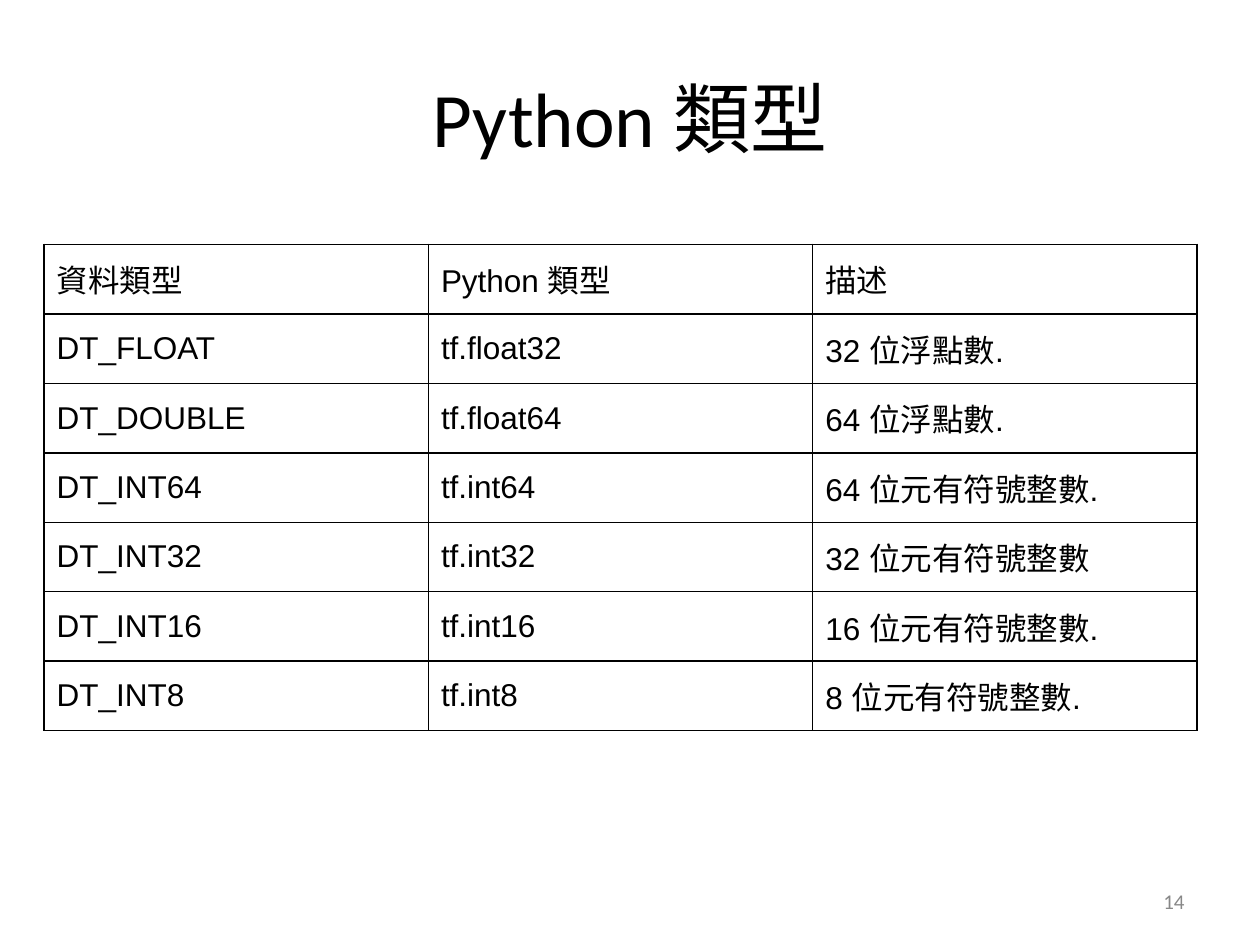
"""Build a slide with a table of data types and their Python types."""
from lxml import etree
from pptx import Presentation
from pptx.dml.color import RGBColor
from pptx.enum import text
from pptx.oxml import ns
from pptx.util import Pt

TITLE = "Python 類型"
PAGE_NUMBER = "14"
ROWS = [
    ("資料類型", "Python 類型", "描述"),
    ("DT_FLOAT", "tf.float32", "32 位浮點數."),
    ("DT_DOUBLE", "tf.float64", "64 位浮點數."),
    ("DT_INT64", "tf.int64", "64 位元有符號整數."),
    ("DT_INT32", "tf.int32", "32 位元有符號整數"),
    ("DT_INT16", "tf.int16", "16 位元有符號整數."),
    ("DT_INT8", "tf.int8", "8 位元有符號整數."),
]
BLACK, GRAY = "000000", "888888"
TITLE_FORMAT = {"name": "Calibri", "size": Pt(44)}
NUMBER_FORMAT = {"name": "Calibri", "size": Pt(12)}
CELL_FORMAT = {"name": "Arial", "size": Pt(18)}
TABLE_LEFT, TABLE_TOP = 25.2, 139.7
COLUMN_WIDTH, ROW_HEIGHT = 219.6, 39.7
BORDER_WIDTH = 1


def color(value):
    return RGBColor.from_string(value)


def write(frame, content, formats, font_color, alignment):
    paragraph = frame.paragraphs[0]
    paragraph.alignment = alignment
    run = paragraph.add_run()
    run.text = content
    for name, value in formats.items():
        setattr(run.font, name, value)
    run.font.color.rgb = color(font_color)


def add_text(slide, box, content, formats, font_color, alignment):
    frame = slide.shapes.add_textbox(*map(Pt, box)).text_frame
    frame.word_wrap = True
    frame.vertical_anchor = text.MSO_ANCHOR.MIDDLE
    write(frame, content, formats, font_color, alignment)


def add_borders(cell):
    properties = cell._tc.get_or_add_tcPr()
    for side in ("lnL", "lnR", "lnT", "lnB"):
        line = etree.SubElement(properties, ns.qn(f"a:{side}"), w=str(Pt(BORDER_WIDTH)))
        fill = etree.SubElement(line, ns.qn("a:solidFill"))
        etree.SubElement(fill, ns.qn("a:srgbClr"), val=BLACK)


def add_type_table(slide):
    row_count, column_count = len(ROWS), len(ROWS[0])
    box = (TABLE_LEFT, TABLE_TOP, column_count * COLUMN_WIDTH, row_count * ROW_HEIGHT)
    table = slide.shapes.add_table(row_count, column_count, *map(Pt, box)).table
    table.first_row = table.horz_banding = False
    for column in table.columns:
        column.width = Pt(COLUMN_WIDTH)
    for row, contents in zip(table.rows, ROWS):
        row.height = Pt(ROW_HEIGHT)
        for cell, content in zip(row.cells, contents):
            add_borders(cell)
            cell.fill.background()
            cell.vertical_anchor = text.MSO_ANCHOR.MIDDLE
            write(cell.text_frame, content, CELL_FORMAT, BLACK, text.PP_ALIGN.LEFT)


def main():
    presentation = Presentation()
    presentation.slide_width, presentation.slide_height = Pt(720), Pt(540)
    slide = presentation.slides.add_slide(presentation.slide_layouts[6])
    add_text(slide, (36, 21.6, 648, 90), TITLE, TITLE_FORMAT, BLACK, text.PP_ALIGN.CENTER)
    add_type_table(slide)
    add_text(slide, (516, 500.5, 168, 28.75), PAGE_NUMBER, NUMBER_FORMAT, GRAY, text.PP_ALIGN.RIGHT)
    presentation.save("out.pptx")


if __name__ == "__main__":
    main()
